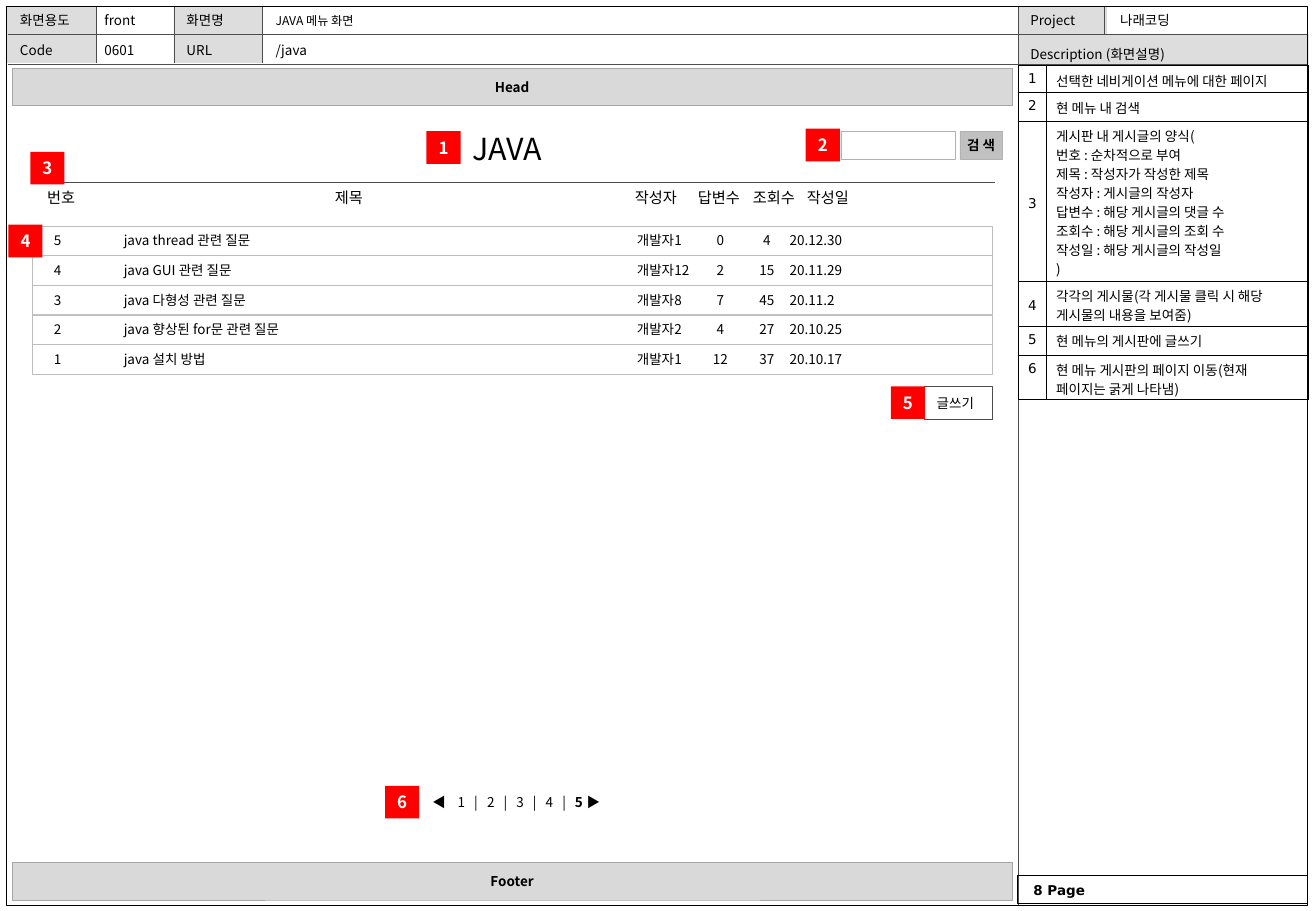
from pptx import Presentation
from pptx.util import Pt
from pptx.dml.color import RGBColor
from pptx.enum.shapes import MSO_CONNECTOR, MSO_SHAPE
from pptx.enum.text import MSO_ANCHOR, PP_ALIGN
from pptx.oxml.ns import qn
from lxml.etree import SubElement

# Content
FIELDS = [  # text, left, header row, size
    ("화면용도", 4.8, 0, 8), ("front", 54.8, 0, 8), ("화면명", 103.4, 0, 8),
    ("JAVA 메뉴 화면", 156.2, 0, 7.2), ("Code", 4.8, 1, 8), ("0601", 54.8, 1, 8),
    ("URL", 103.4, 1, 8), ("/java", 156.2, 1, 8), ("Project", 603.4, 0, 8),
    ("나래코딩", 656.6, 0, 8), ("Description (화면설명)", 603.4, 1, 8),
]
NOTES = [  # row height, anchor, paragraphs
    (16, MSO_ANCHOR.TOP, ["선택한 네비게이션 메뉴에 대한 페이지"]),
    (17.2, MSO_ANCHOR.TOP, ["현 메뉴 내 검색"]),
    (94.8, MSO_ANCHOR.MIDDLE, [
        "게시판 내 게시글의 양식(", "번호 : 순차적으로 부여",
        "제목 : 작성자가 작성한 제목", "작성자 : 게시글의 작성자",
        "답변수 : 해당 게시글의 댓글 수", "조회수 : 해당 게시글의 조회 수",
        "작성일 : 해당 게시글의 작성일", ")"]),
    (26.7, MSO_ANCHOR.MIDDLE, ["각각의 게시물(각 게시물 클릭 시 해당 게시물의 내용을 보여줌)"]),
    (17.2, MSO_ANCHOR.TOP, ["현 메뉴의 게시판에 글쓰기"]),
    (26.6, MSO_ANCHOR.TOP, ["현 메뉴 게시판의 페이지 이동(현재 페이지는 굵게 나타냄)"]),
]
COLUMNS = ["번호", "제목", "작성자", "답변수", "조회수", "작성일"]
POSTS = [
    ("5", "java thread 관련 질문", "개발자1", "0", "4", "20.12.30"),
    ("4", "java GUI 관련 질문", "개발자12", "2", "15", "20.11.29"),
    ("3", "java 다형성 관련 질문", "개발자8", "7", "45", "20.11.2"),
    ("2", "java 향상된 for문 관련 질문", "개발자2", "4", "27", "20.10.25"),
    ("1", "java 설치 방법", "개발자1", "12", "37", "20.10.17"),
]
PAGES = ["1", "2", "3", "4", "5"]
BADGES = [("1", 252.7, 77.8), ("2", 477.4, 76.3), ("3", 18, 90),
          ("4", 5, 133.2), ("5", 527.8, 229), ("6", 228.2, 465.8)]

THEME = dict(font="Noto Sans CJK KR", page_font="DejaVu Sans", black="000000",
             white="FFFFFF", label="DDDDDD", bar="D9D9D9", bar_edge="A6A6A6",
             rule="4D4D4D", row_edge="BDBDBD", button="C0C0C0", edge="B2B2B2",
             badge="FF0000", body=8, columns=9, number=10, title=18, hair=0.25)
T = THEME
PANEL_X, PANEL_W, HEAD_Y = 603.4, 172, 38.2

prs = Presentation()
prs.slide_width, prs.slide_height = Pt(779.76), Pt(540)
s = prs.slides.add_slide(prs.slide_layouts[6])


def rgb(name):
    return RGBColor.from_string(T[name])


def add_run(p, text, size=T["body"], color="black", bold=False, font="font"):
    r = p.add_run()
    r.text = text
    r.font.size, r.font.bold, r.font.name = Pt(size), bold, T[font]
    r.font.color.rgb = rgb(color)
    SubElement(r._r.get_or_add_rPr(), qn("a:ea")).set("typeface", T[font])


def write(sp, text, align=PP_ALIGN.LEFT, inset=7.2, **fmt):
    tf = sp.text_frame
    tf.word_wrap, tf.vertical_anchor = True, MSO_ANCHOR.MIDDLE
    tf.margin_left, tf.margin_right = Pt(inset), Pt(0 if align == PP_ALIGN.CENTER else 2)
    tf.margin_top = tf.margin_bottom = 0
    p = tf.paragraphs[0]
    p.alignment = align
    add_run(p, text, **fmt)
    return p


def label(text, x, y, w, h, **fmt):
    return write(s.shapes.add_textbox(Pt(x), Pt(y), Pt(w), Pt(h)), text, **fmt)


def box(x, y, w, h, fill=None, line=None):
    sp = s.shapes.add_shape(MSO_SHAPE.RECTANGLE, Pt(x), Pt(y), Pt(w), Pt(h))
    sp.shadow.inherit = False
    if fill:
        sp.fill.solid()
        sp.fill.fore_color.rgb = rgb(fill)
    else:
        sp.fill.background()
    if line:
        sp.line.color.rgb, sp.line.width = rgb(line), Pt(T["hair"])
    else:
        sp.line.fill.background()
    return sp


def rule(x1, y1, x2, y2):
    c = s.shapes.add_connector(MSO_CONNECTOR.STRAIGHT, Pt(x1), Pt(y1), Pt(x2), Pt(y2))
    c.line.color.rgb, c.line.width = rgb("rule"), Pt(T["hair"])
    SubElement(c._element.spPr, qn("a:effectLst"))


def set_tabs(p, stops):
    tabs = SubElement(p._p.get_or_add_pPr(), qn("a:tabLst"))
    for pos, kind in stops:
        tab = SubElement(tabs, qn("a:tab"))
        tab.set("pos", str(Pt(pos)))
        tab.set("algn", kind)


def add_borders(cell):
    tcPr = cell._tc.get_or_add_tcPr()
    for side in ("lnL", "lnR", "lnT", "lnB"):
        ln = SubElement(tcPr, qn("a:" + side))
        ln.set("w", str(Pt(T["hair"])))
        SubElement(SubElement(ln, qn("a:solidFill")), qn("a:srgbClr")).set("val", T["black"])
    cell.fill.background()


# Header grid and frame
box(PANEL_X, 20.2, PANEL_W, 18, "label")
box(PANEL_X, 3.6, 52.6, 16.6, "label")
for x in (4.3, 103):
    box(x, 3.6, 52.6, 33.8, "label")
for x in (56.9, 103, 155.5):
    rule(x, 3.6, x, 37.4)
rule(654.5, 3.6, 654.5, 20.2)
rule(PANEL_X, 3.6, PANEL_X, 536.4)
box(602.6, 519.1, PANEL_W, 16.6, line="black")
box(3.6, 3.6, 771.1, 532.8, line="black")
for y in (20.2, HEAD_Y):
    rule(5, y, 774.7, y)
for text, x, row, size in FIELDS:
    w = PANEL_W if row and x == PANEL_X else 110 if x > 150 else 52
    y = 3.5 + 18 * row + (2 if w == PANEL_W else 0)
    label(text, x, y, w, 17, size=size)
label("8 Page", 605.2, 519.8, 60, 16, bold=True, font="page_font")

# Head and footer bars
for text, y in (("Head", 40.3), ("Footer", 511.2)):
    write(box(7.2, y, 592.6, 22.3, "bar", "bar_edge"), text,
          align=PP_ALIGN.CENTER, inset=0, bold=True)

# Description table
heights = [h for h, _, _ in NOTES]
tbl = s.shapes.add_table(len(NOTES), 2, Pt(PANEL_X), Pt(HEAD_Y + 0.3),
                         Pt(PANEL_W), Pt(sum(heights))).table
tbl.first_row = tbl.horz_banding = False
tbl.columns[0].width, tbl.columns[1].width = Pt(16.6), Pt(155.4)
for i, (h, anchor, lines) in enumerate(NOTES):
    tbl.rows[i].height = Pt(h)
    cells = [([str(i + 1)], 2.9, PP_ALIGN.CENTER, anchor, "page_font"),
             (lines, 5.8, PP_ALIGN.LEFT, MSO_ANCHOR.TOP, "font")]
    for j, (paras, inset, align, where, font) in enumerate(cells):
        cell = tbl.cell(i, j)
        cell.margin_left = cell.margin_right = Pt(inset)
        cell.margin_top, cell.margin_bottom = Pt(3.6 - 2 * (j == 0)), 0
        cell.vertical_anchor = where
        add_borders(cell)
        for k, text in enumerate(paras):
            p = cell.text_frame.add_paragraph() if k else cell.text_frame.paragraphs[0]
            p.alignment, p.line_spacing = align, Pt(11.2)
            add_run(p, text, font=font)

# Page title and search
label("JAVA", 272.9, 73.4, 70, 29, size=T["title"])
box(498.2, 77.8, 67.7, 16.6, "white", "edge")
write(box(568.8, 77.8, 25.2, 16.6, "button", "edge"), "검 색",
      align=PP_ALIGN.CENTER, inset=0, bold=True)

# Board: column heads, then one bar per post
rule(20.9, 108, 589.7, 108)
p = label("\t".join(COLUMNS), 20.9, 108, 568.8, 18, size=T["columns"])
set_tabs(p, [(x, "l") for x in (170.5, 348.3, 385.6, 418.2, 450.2)])
for i, post in enumerate(POSTS):
    sp = box(19.4, 133.9 + 17.6 * i, 568.8, 17.4, "white", "row_edge")
    p = write(sp, "\t".join(post), inset=12.5)
    set_tabs(p, [(41.5, "l"), (345.5, "l"), (395, "ctr"), (422.5, "ctr"), (436, "l")])
write(box(547.9, 229, 40.3, 19.4, "white", "rule"), "글쓰기")

# Pager, current page in bold
p = label("◀\t" + "\t|\t".join(PAGES[:-1]) + "\t|\t", 249.1, 465.8, 160, 19.4)
add_run(p, PAGES[-1], bold=True)
add_run(p, "\t▶")
set_tabs(p, [(17.2 + 8.7 * i, "ctr") for i in range(2 * len(PAGES))])

# Numbered badges
for text, x, y in BADGES:
    write(box(x, y, 20.2, 19.4, "badge"), text, align=PP_ALIGN.CENTER, inset=0,
          size=T["number"], color="white", bold=True)

prs.save("out.pptx")
